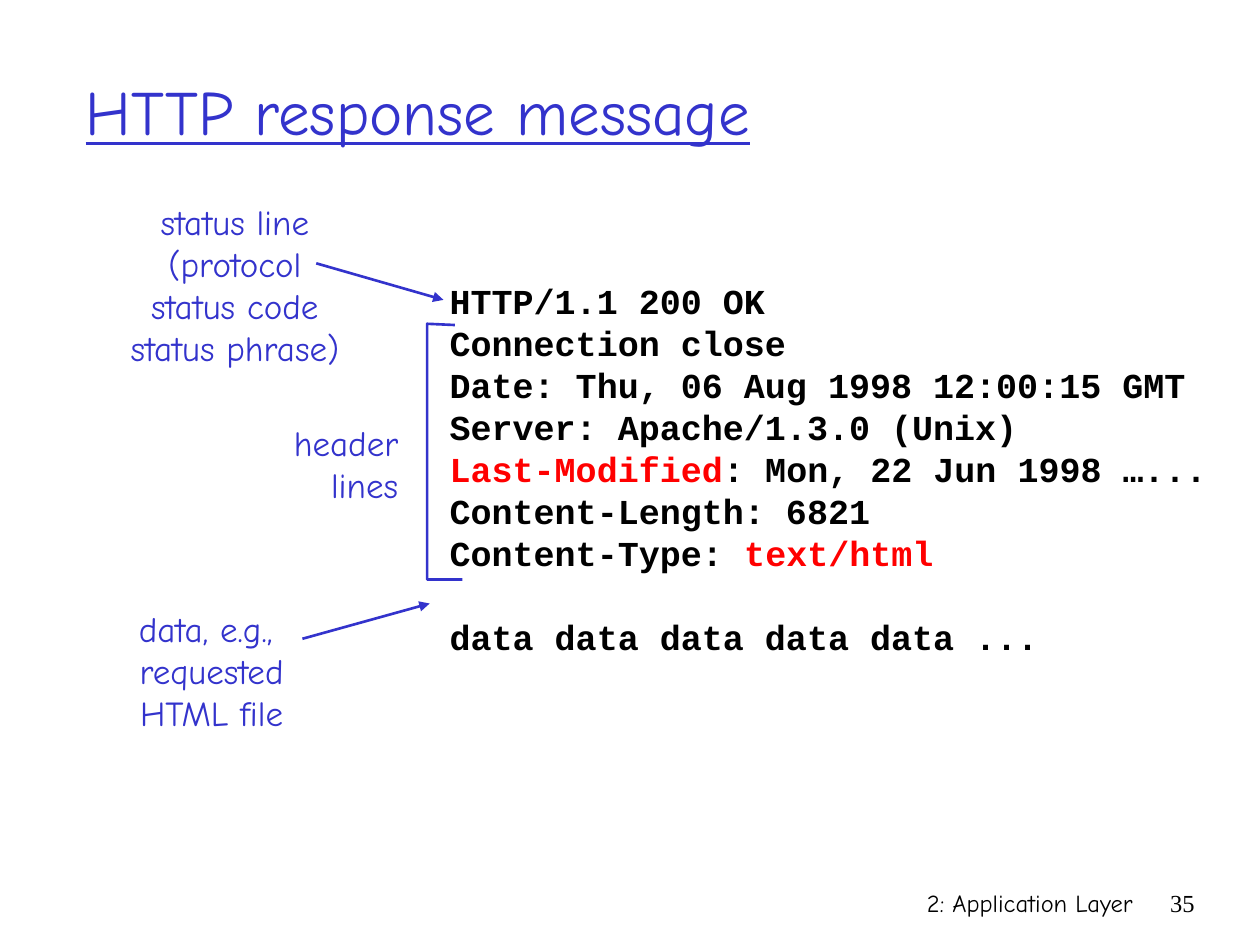
"""Build the HTTP response message slide."""
from lxml import etree
from pptx import Presentation
from pptx.dml.color import RGBColor
from pptx.enum.shapes import MSO_CONNECTOR
from pptx.enum.text import MSO_ANCHOR, PP_ALIGN
from pptx.oxml.ns import qn
from pptx.util import Inches, Pt

LEFT, CENTER, RIGHT = PP_ALIGN.LEFT, PP_ALIGN.CENTER, PP_ALIGN.RIGHT
MIDDLE = MSO_ANCHOR.MIDDLE
STRAIGHT = MSO_CONNECTOR.STRAIGHT
BLUE, BLACK, RED = "3333CC", "000000", "FF0000"
COMIC, COURIER, TIMES = "Comic Neue", "Courier New", "Times New Roman"


def rgb(value):
    return RGBColor.from_string(value)


def add_text(s, box, lines, size, font, color, align, bold=False, wrap=False):
    sp = s.shapes.add_textbox(*[Inches(v) for v in box])
    tf = sp.text_frame
    tf.word_wrap = wrap
    for i, line in enumerate(lines):
        p = tf.paragraphs[0] if i == 0 else tf.add_paragraph()
        p.alignment = align
        p.line_spacing = Pt(size * 1.2)
        for text, run_color in [(line, color)] if isinstance(line, str) else line:
            r = p.add_run()
            r.text = text
            r.font.size = Pt(size)
            r.font.name = font
            r.font.bold = bold
            r.font.color.rgb = rgb(run_color)
    return tf


prs = Presentation()
prs.slide_width, prs.slide_height = Inches(10), Inches(7.5)
s = prs.slides.add_slide(prs.slide_layouts[5])

title = s.shapes.title
title.left, title.top = Inches(0.58), Inches(0.25)
title.width, title.height = Inches(8.5), Inches(1.25)
tf = title.text_frame
tf.vertical_anchor = MIDDLE
p = tf.paragraphs[0]
p.alignment = LEFT
r = p.add_run()
r.text = "HTTP response message"
r.font.size = Pt(36)
r.font.name = COMIC
r.font.underline = True
r.font.color.rgb = rgb(BLUE)

add_text(s, (5.92, 7, 3.17, 0.5), ["2: Application Layer"], 14, COMIC, BLACK, RIGHT, wrap=True)
add_text(s, (9.08, 7, 0.5, 0.5), ["35"], 14, TIMES, BLACK, RIGHT, wrap=True)

message = [
    "HTTP/1.1 200 OK",
    "Connection close",
    "Date: Thu, 06 Aug 1998 12:00:15 GMT",
    "Server: Apache/1.3.0 (Unix)",
    [("Last-Modified", RED), (": Mon, 22 Jun 1998 …...", BLACK)],
    "Content-Length: 6821",
    [("Content-Type: ", BLACK), ("text/html", RED)],
    "data data data data data ...",
]
tf = add_text(s, (3.47, 2.17, 6.38, 3.1), message, 20, COURIER, BLACK, LEFT, bold=True)
tf.paragraphs[-1].space_before = Pt(24)

labels = [
    ((0.93, 1.54, 1.87, 1.44), ["status line", "(protocol", "status code", "status phrase)"], CENTER),
    ((2.23, 3.3, 1.03, 0.77), ["header", "lines"], RIGHT),
    ((1, 4.77, 1.36, 1.1), ["data, e.g., ", "requested", "HTML file"], CENTER),
]
for box, lines, align in labels:
    add_text(s, box, lines, 20, COMIC, BLUE, align)

for ends in [(2.51, 2.09, 3.52, 2.38), (2.4, 5.07, 3.41, 4.79)]:
    arrow = s.shapes.add_connector(STRAIGHT, *[Inches(v) for v in ends])
    arrow.line.color.rgb = rgb(BLUE)
    arrow.line.width = Pt(1.5)
    etree.SubElement(arrow.line._get_or_add_ln(), qn("a:tailEnd"), type="triangle")
    etree.SubElement(arrow._element.spPr, qn("a:effectLst"))

points = [(Inches(x), Inches(y)) for x, y in [(3.61, 2.58), (3.39, 2.57), (3.39, 4.6), (3.67, 4.6)]]
builder = s.shapes.build_freeform(*points[0])
builder.add_line_segments(points[1:], close=False)
bracket = builder.convert_to_shape()
bracket.shadow.inherit = False
bracket.fill.background()
bracket.line.color.rgb = rgb(BLUE)
bracket.line.width = Pt(1.5)

prs.save("out.pptx")
